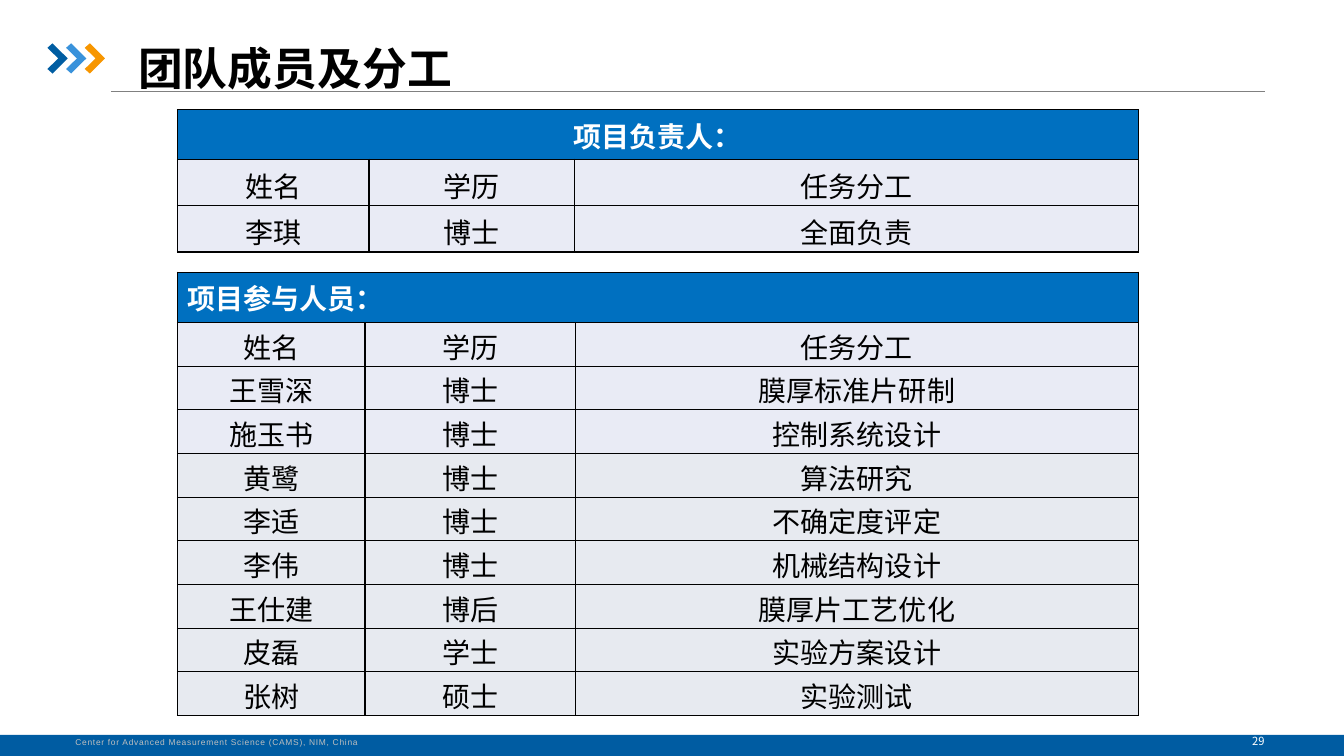
from lxml.etree import SubElement
from pptx import Presentation
from pptx.dml.color import RGBColor
from pptx.enum.shapes import MSO_CONNECTOR, MSO_SHAPE
from pptx.enum.text import MSO_ANCHOR, MSO_AUTO_SIZE, PP_ALIGN
from pptx.oxml.ns import qn
from pptx.util import Inches, Pt

BLACK = RGBColor(0x00, 0x00, 0x00)
WHITE = RGBColor(0xFF, 0xFF, 0xFF)
RULE_GRAY = RGBColor(0x80, 0x80, 0x80)
FOOTER_GRAY = RGBColor(0xBF, 0xBF, 0xBF)
FOOTER_BLUE = RGBColor(0x00, 0x5C, 0xA2)
HEADER_BLUE = RGBColor(0x00, 0x70, 0xC0)
ROW_LILAC = RGBColor(0xE9, 0xEB, 0xF5)
ROW_GRAY = RGBColor(0xE7, 0xEA, 0xF0)
CHEVRON_COLORS = (RGBColor(0x00, 0x5D, 0xA2), RGBColor(0x39, 0x92, 0xDB), RGBColor(0xF7, 0x96, 0x00))
CJK = "Noto Sans CJK SC"

COLUMN_NAMES = ("姓名", "学历", "任务分工")
LEADERS = [("李琪", "博士", "全面负责")]
MEMBERS = [
    ("王雪深", "博士", "膜厚标准片研制"),
    ("施玉书", "博士", "控制系统设计"),
    ("黄鹭", "博士", "算法研究"),
    ("李适", "博士", "不确定度评定"),
    ("李伟", "博士", "机械结构设计"),
    ("王仕建", "博后", "膜厚片工艺优化"),
    ("皮磊", "学士", "实验方案设计"),
    ("张树", "硕士", "实验测试"),
]


def add_run(paragraph, wording, size, color, bold=False, font=CJK, spacing=None):
    run = paragraph.add_run()
    run.text = wording
    run.font.size = Pt(size)
    run.font.bold = bold
    run.font.color.rgb = color
    run.font.name = font
    properties = run._r.get_or_add_rPr()
    SubElement(properties, qn("a:ea")).set("typeface", font)
    if spacing:
        properties.set("spc", str(spacing))


def paint(shape, color):
    shape.fill.solid()
    shape.fill.fore_color.rgb = color
    shape.line.fill.background()
    shape.shadow.inherit = False


def add_chevrons(slide, left, top, size=0.3, step=0.185):
    outline = ((0, 0.15), (0.17, 0), (0.67, 0.5), (0.17, 1), (0, 0.85), (0.36, 0.5))
    for index, color in enumerate(CHEVRON_COLORS):
        points = [(Inches(left + index * step + x * size), Inches(top + y * size)) for x, y in outline]
        builder = slide.shapes.build_freeform(*points[0])
        builder.add_line_segments(points[1:], close=True)
        paint(builder.convert_to_shape(), color)


def add_heading(slide, left, top, width, height):
    rule = slide.shapes.add_connector(
        MSO_CONNECTOR.STRAIGHT, Inches(1.1), Inches(0.91), Inches(12.55), Inches(0.91))
    rule.line.color.rgb = RULE_GRAY
    rule.line.width = Pt(0.75)
    SubElement(rule._element.spPr, qn("a:effectLst"))
    add_chevrons(slide, left - 0.8, top + 0.08)
    heading = slide.shapes.title
    heading.left, heading.top = Inches(left), Inches(top)
    heading.width, heading.height = Inches(width), Inches(height)
    frame = heading.text_frame
    frame.auto_size = MSO_AUTO_SIZE.NONE
    frame.vertical_anchor = MSO_ANCHOR.MIDDLE
    frame.paragraphs[0].alignment = PP_ALIGN.LEFT
    add_run(frame.paragraphs[0], "团队成员及分工", 32, BLACK, bold=True)


def add_footer(slide, left, top, width, height):
    band = slide.shapes.add_shape(
        MSO_SHAPE.RECTANGLE, Inches(left), Inches(top), Inches(width), Inches(height))
    paint(band, FOOTER_BLUE)
    center = slide.shapes.add_textbox(Inches(left + 0.65), Inches(top - 0.03), Inches(3.04), Inches(0.2))
    center.text_frame.word_wrap = False
    add_run(center.text_frame.paragraphs[0],
            "Center for Advanced Measurement Science (CAMS), NIM, China",
            6, FOOTER_GRAY, font="Arial", spacing=50)
    page_number = slide.shapes.add_textbox(
        Inches(left + 11.99), Inches(top - 0.05), Inches(0.98), Inches(0.24))
    page_number.text_frame.word_wrap = True
    page_number.text_frame.paragraphs[0].alignment = PP_ALIGN.CENTER
    add_run(page_number.text_frame.paragraphs[0], "29", 8, WHITE)


def add_borders(cell):
    properties = cell._tc.get_or_add_tcPr()
    for side in ("a:lnL", "a:lnR", "a:lnT", "a:lnB"):
        border = SubElement(properties, qn(side), w=str(Pt(1)))
        SubElement(SubElement(border, qn("a:solidFill")), qn("a:srgbClr"), val=str(BLACK))


def fill_cell(cell, wording, alignment, color, background, bold=False):
    cell.fill.solid()
    cell.fill.fore_color.rgb = background
    paragraph = cell.text_frame.paragraphs[0]
    paragraph.alignment = alignment
    add_run(paragraph, wording, 20, color, bold)


def add_team_table(slide, left, top, width, height, caption, caption_alignment,
                   people, column_widths, caption_height, top_margin, anchor):
    rows = [COLUMN_NAMES, *people]
    table = slide.shapes.add_table(
        len(rows) + 1, 3, Inches(left), Inches(top), Inches(width), Inches(height)).table
    for column, column_width in zip(table.columns, column_widths):
        column.width = Inches(column_width)
    for row in table.rows:
        row.height = Inches((height - caption_height) / len(rows))
    table.rows[0].height = Inches(caption_height)
    for cell in table.iter_cells():
        add_borders(cell)
    caption_cell = table.cell(0, 0)
    caption_cell.merge(table.cell(0, 2))
    caption_cell.vertical_anchor = MSO_ANCHOR.MIDDLE
    fill_cell(caption_cell, caption, caption_alignment, WHITE, HEADER_BLUE, bold=True)
    for row_index, person in enumerate(rows, 1):
        background = ROW_LILAC if row_index < 4 else ROW_GRAY
        for column_index, wording in enumerate(person):
            cell = table.cell(row_index, column_index)
            cell.margin_top, cell.margin_bottom = Inches(top_margin), 0
            cell.vertical_anchor = anchor
            fill_cell(cell, wording, PP_ALIGN.CENTER, BLACK, background)


def main():
    presentation = Presentation()
    presentation.slide_width, presentation.slide_height = Inches(13.33), Inches(7.5)
    slide = presentation.slides.add_slide(presentation.slide_layouts[5])
    add_heading(slide, 1.27, 0.35, 4.62, 0.64)
    add_footer(slide, 0, 7.29, 13.33, 0.21)
    add_team_table(slide, 1.76, 1.09, 9.53, 1.41, "项目负责人：", PP_ALIGN.CENTER,
                   LEADERS, (1.9, 2.04, 5.59), 0.49, 0.05, MSO_ANCHOR.MIDDLE)
    add_team_table(slide, 1.76, 2.7, 9.53, 4.4, "项目参与人员：", PP_ALIGN.LEFT,
                   MEMBERS, (1.86, 2.09, 5.58), 0.5, 0.03, MSO_ANCHOR.TOP)
    presentation.save("out.pptx")


if __name__ == "__main__":
    main()
